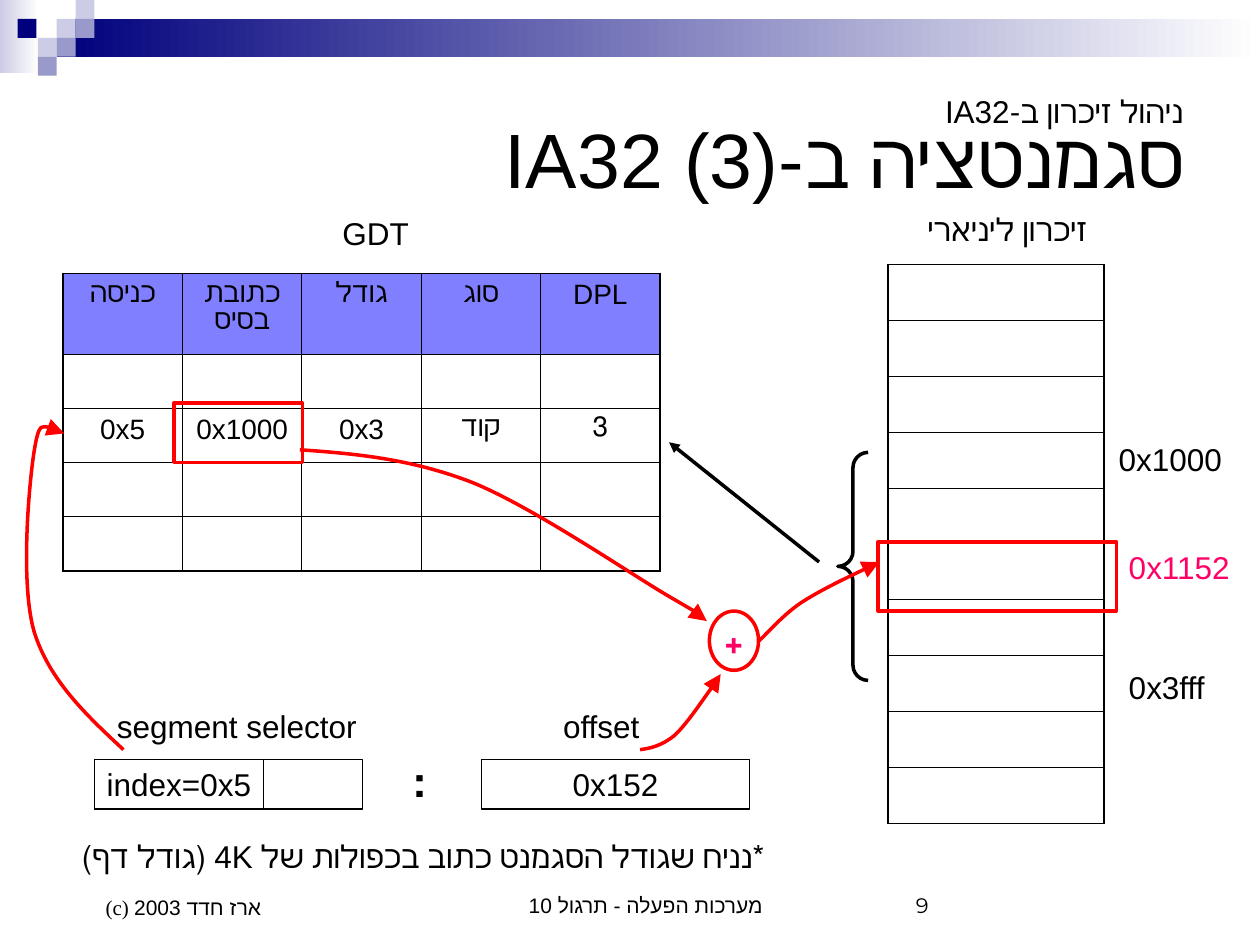
import dataclasses
import typing

import lxml.etree
import pptx
import pptx.dml.color
import pptx.enum.shapes
import pptx.enum.text
import pptx.oxml
import pptx.oxml.ns
import pptx.util

Inches = pptx.util.Inches
Pt = pptx.util.Pt
RGBColor = pptx.dml.color.RGBColor
Shape = pptx.enum.shapes.MSO_SHAPE
Align = pptx.enum.text.PP_ALIGN
Anchor = pptx.enum.text.MSO_ANCHOR
AutoSize = pptx.enum.text.MSO_AUTO_SIZE
qn = pptx.oxml.ns.qn

BLACK = RGBColor(0x00, 0x00, 0x00)
WHITE = RGBColor(0xFF, 0xFF, 0xFF)
RED = RGBColor(0xFF, 0x00, 0x00)
PINK = RGBColor(0xFF, 0x00, 0x66)
BLUE = RGBColor(0x00, 0x00, 0xFF)
NAVY = RGBColor(0x00, 0x00, 0x7D)
LILAC = RGBColor(0xCC, 0xCC, 0xE6)
VIOLET = RGBColor(0x99, 0x99, 0xCC)

Point = tuple[float, float]
Bounds = tuple[float, float, float, float]


@dataclasses.dataclass(frozen=True)
class Style:
    size: float = 18
    color: RGBColor = BLACK
    bold: bool = False
    font: str = "Arial"
    align: Align = Align.LEFT
    rtl: bool = True
    indent: float = 0
    complex_font: str = ""


@dataclasses.dataclass(frozen=True)
class Label:
    text: str
    bounds: Bounds
    style: Style = Style()
    anchor: Anchor = Anchor.TOP
    wrap: bool = False


@dataclasses.dataclass(frozen=True)
class Figure:
    kind: Shape
    bounds: Bounds
    line: RGBColor
    width: float
    text: str = ""
    style: Style = Style(align=Align.CENTER)


HEBREW = Style(align=Align.RIGHT)
CELL = Style(size=16, align=Align.CENTER)
FOOTER = Style(size=12, font="Times New Roman", rtl=False, indent=0.24, complex_font="Arial")

TILE = 0.15
TILES = [(3, 1, LILAC), (4, 0, LILAC), (4, 1, VIOLET), (2, 2, LILAC),
         (0.93, 1, NAVY), (3, 2, VIOLET), (2, 3, VIOLET)]
BANDS = [((0, 0, 0.31, 0.58), LILAC), ((0.45, 0.15, 9.55, 0.3), NAVY)]

GDT_ROWS = [["כניסה", "כתובת בסיס", "גודל", "סוג", "DPL"], [""] * 5,
            ["0x5", "0x1000", "0x3", "קוד", "3"], [""] * 5, [""] * 5]
MEMORY_ROWS = [[""] for _ in range(10)]

LABELS = [
    Label("סגמנטציה ב-IA32 (3)", (0.5, 0.5, 9, 1.5),
          Style(size=44, align=Align.RIGHT), Anchor.MIDDLE, True),
    Label("ניהול זיכרון ב-IA32", (7.35, 0.68, 2.14, 0.4), HEBREW),
    Label("זיכרון ליניארי", (7.21, 1.62, 1.52, 0.4), HEBREW),
    Label("GDT", (2.62, 1.65, 0.73, 0.4), Style(rtl=False)),
    Label("*נניח שגודל הסגמנט כתוב בכפולות של 4K (גודל דף)", (0.5, 6.59, 5.67, 0.4), HEBREW),
    Label("0x1000", (8.78, 3.44, 1.02, 0.4)),
    Label("0x1152", (8.86, 4.3, 1.02, 0.4), Style(color=PINK)),
    Label("0x3fff", (8.86, 5.25, 0.81, 0.4)),
    Label(":", (3.19, 5.95, 0.31, 0.5), Style(size=24, bold=True)),
    Label("segment selector", (0.83, 5.56, 2.15, 0.4)),
    Label("offset", (4.37, 5.56, 0.81, 0.4)),
    Label("מערכות הפעלה - תרגול 10", (3.42, 6.83, 3.17, 0.5),
          dataclasses.replace(FOOTER, align=Align.CENTER), Anchor.BOTTOM, True),
    Label("9", (7.17, 6.83, 2.33, 0.5),
          Style(size=12, font="Montserrat", rtl=False), Anchor.BOTTOM, True),
    Label("(c) ארז חדד 2003", (0.5, 6.83, 2.33, 0.52), FOOTER, Anchor.BOTTOM, True),
]

FIGURES = [
    Figure(Shape.LEFT_BRACE, (6.65, 3.59, 0.24, 1.81), BLACK, 2),
    Figure(Shape.RECTANGLE, (0.75, 6.03, 2.13, 0.39), BLACK, 0.75),
    Figure(Shape.RECTANGLE, (0.75, 6.03, 1.34, 0.39), BLACK, 0.75, "index=0x5"),
    Figure(Shape.RECTANGLE, (3.82, 6.03, 2.13, 0.39), BLACK, 0.75, "0x152"),
    Figure(Shape.RECTANGLE, (6.97, 4.3, 1.89, 0.55), RED, 2),
    Figure(Shape.RECTANGLE, (1.38, 3.2, 1.02, 0.47), RED, 2),
    Figure(Shape.OVAL, (5.63, 4.85, 0.39, 0.47), RED, 2, "+",
           Style(color=PINK, bold=True, align=Align.CENTER)),
]

CURVES: list[list[Point]] = [
    [(0.98, 5.95), (0.69, 5.68), (0.39, 5.4), (0.27, 5.01), (0.16, 4.62),
     (0.23, 3.85), (0.27, 3.59), (0.31, 3.33), (0.41, 3.38), (0.51, 3.44)],
    [(2.38, 3.57), (2.81, 3.6), (3.26, 3.64), (3.75, 3.83), (4.24, 4.03),
     (5.01, 4.56), (5.32, 4.74), (5.63, 4.92), (5.55, 4.89), (5.61, 4.93)],
    [(5.08, 5.95), (5.16, 5.94), (5.25, 5.92), (5.35, 5.84), (5.45, 5.75),
     (5.6, 5.52), (5.67, 5.43), (5.73, 5.35), (5.71, 5.37), (5.72, 5.35)],
    [(6.02, 5.09), (6.08, 5.04), (6.22, 4.87), (6.38, 4.77), (6.54, 4.67),
     (6.88, 4.51), (6.98, 4.46)],
]


def assign(target: typing.Any, values: dict[str, typing.Any]) -> None:
    for name, value in values.items():
        setattr(target, name, value)


def write(frame: typing.Any, text: str, style: Style) -> None:
    para = frame.paragraphs[0]
    para.alignment = style.align
    properties = para._p.get_or_add_pPr()
    properties.set("rtl", str(int(style.rtl)))
    properties.set("marL", str(Inches(style.indent)))
    span = para.add_run()
    span.text = text
    assign(span.font, {"size": Pt(style.size), "bold": style.bold, "name": style.font})
    span.font.color.rgb = style.color
    if style.complex_font:
        lxml.etree.SubElement(span.font._element, qn("a:cs"), typeface=style.complex_font)


def add_label(page: typing.Any, label: Label) -> None:
    box = page.shapes.add_textbox(*map(Inches, label.bounds))
    assign(box.text_frame, {
        "word_wrap": label.wrap, "vertical_anchor": label.anchor,
        "auto_size": AutoSize.NONE if label.wrap else AutoSize.SHAPE_TO_FIT_TEXT})
    write(box.text_frame, label.text, label.style)


def add_block(page: typing.Any, bounds: Bounds, color: RGBColor, fade: bool = False) -> None:
    block = page.shapes.add_shape(Shape.RECTANGLE, *map(Inches, bounds))
    block.shadow.inherit = False
    block.line.fill.background()
    if not fade:
        block.fill.solid()
        block.fill.fore_color.rgb = color
        return
    block.fill.gradient()
    block.fill.gradient_angle = 180
    for stop, position, shade in zip(block.fill.gradient_stops, (0, 1), (WHITE, color)):
        stop.position = position
        stop.color.rgb = shade


def add_figure(page: typing.Any, figure: Figure) -> None:
    shape = page.shapes.add_shape(figure.kind, *map(Inches, figure.bounds))
    shape.shadow.inherit = False
    shape.fill.background()
    shape.line.color.rgb = figure.line
    shape.line.width = Pt(figure.width)
    if figure.kind == Shape.LEFT_BRACE:
        shape.adjustments[0] = 0.5
    if figure.text:
        assign(shape.text_frame, {"word_wrap": False, "vertical_anchor": Anchor.MIDDLE})
        write(shape.text_frame, figure.text, figure.style)


def finish_arrow(arrow: typing.Any, color: RGBColor, head: str) -> None:
    arrow.line.color.rgb = color
    arrow.line.width = Pt(2)
    lxml.etree.SubElement(arrow.line._get_or_add_ln(), qn("a:tailEnd"),
                          type="triangle", w=head, len=head)


def add_curve(page: typing.Any, points: list[Point]) -> None:
    start, *rest = [(Inches(x), Inches(y)) for x, y in points]
    builder = page.shapes.build_freeform(*start)
    curve = builder.add_line_segments(rest, close=False).convert_to_shape()
    curve.shadow.inherit = False
    curve.fill.background()
    outline = next(curve._element.iter(qn("a:path")))
    lines = outline.findall(qn("a:lnTo"))
    for index in range(0, len(lines), 3):
        bezier = lxml.etree.SubElement(outline, qn("a:cubicBezTo"))
        for line in lines[index:index + 3]:
            bezier.append(line[0])
            outline.remove(line)
    finish_arrow(curve, RED, "lg")


def add_grid(page: typing.Any, rows: list[list[str]], bounds: Bounds, header: float) -> None:
    height, width = len(rows), len(rows[0])
    table = page.shapes.add_table(height, width, *map(Inches, bounds)).table
    assign(table, {"first_row": False, "horz_banding": False})
    for index, row in enumerate(table.rows):
        row.height = Inches((bounds[3] - header) / (height - 1) if index else header)
    for r, texts in enumerate(rows):
        for c, text in enumerate(texts):
            cell = table.cell(r, c)
            edges = {"L": c == 0, "R": c == width - 1, "T": r == 0, "B": r == height - 1}
            properties = cell._tc.get_or_add_tcPr()
            for side, outer in edges.items():
                properties.append(pptx.oxml.parse_xml(
                    f'<a:ln{side} {pptx.oxml.ns.nsdecls("a")} '
                    f'w="{Pt(1.08 if outer else 0.45)}"><a:solidFill><a:srgbClr val="{BLACK}"/>'
                    f'</a:solidFill></a:ln{side}>'))
            cell.fill.background()
            if text:
                write(cell.text_frame, text, CELL)
                cell.text_frame.paragraphs[0].space_before = Pt(4)
            if text and r == 0:
                cell.fill.solid()
                cell.fill.fore_color.rgb = BLUE
                tint = properties.find(qn("a:solidFill"))[0]
                lxml.etree.SubElement(tint, qn("a:alpha"), val="50000")


def main() -> None:
    """Build the segmentation slide and save it."""
    deck = pptx.Presentation()
    assign(deck, {"slide_width": Inches(10), "slide_height": Inches(7.5)})
    page = deck.slides.add_slide(deck.slide_layouts[6])
    for bounds, color in BANDS:
        add_block(page, bounds, color, fade=True)
    for column, row, color in TILES:
        add_block(page, (column * TILE, row * TILE, TILE, TILE), color)
    add_grid(page, GDT_ROWS, (0.5, 2.17, 4.74, 2.36), 0.64)
    add_grid(page, MEMORY_ROWS, (7.05, 2.1, 1.71, 4.44), 0.44)
    for label in LABELS:
        add_label(page, label)
    for figure in FIGURES:
        add_figure(page, figure)
    ends = map(Inches, (6.5, 4.46, 5.31, 3.51))
    arrow = page.shapes.add_connector(pptx.enum.shapes.MSO_CONNECTOR.STRAIGHT, *ends)
    finish_arrow(arrow, BLACK, "med")
    lxml.etree.SubElement(arrow._element.spPr, qn("a:effectLst"))
    for points in CURVES:
        add_curve(page, points)
    deck.save("out.pptx")


if __name__ == "__main__":
    main()
